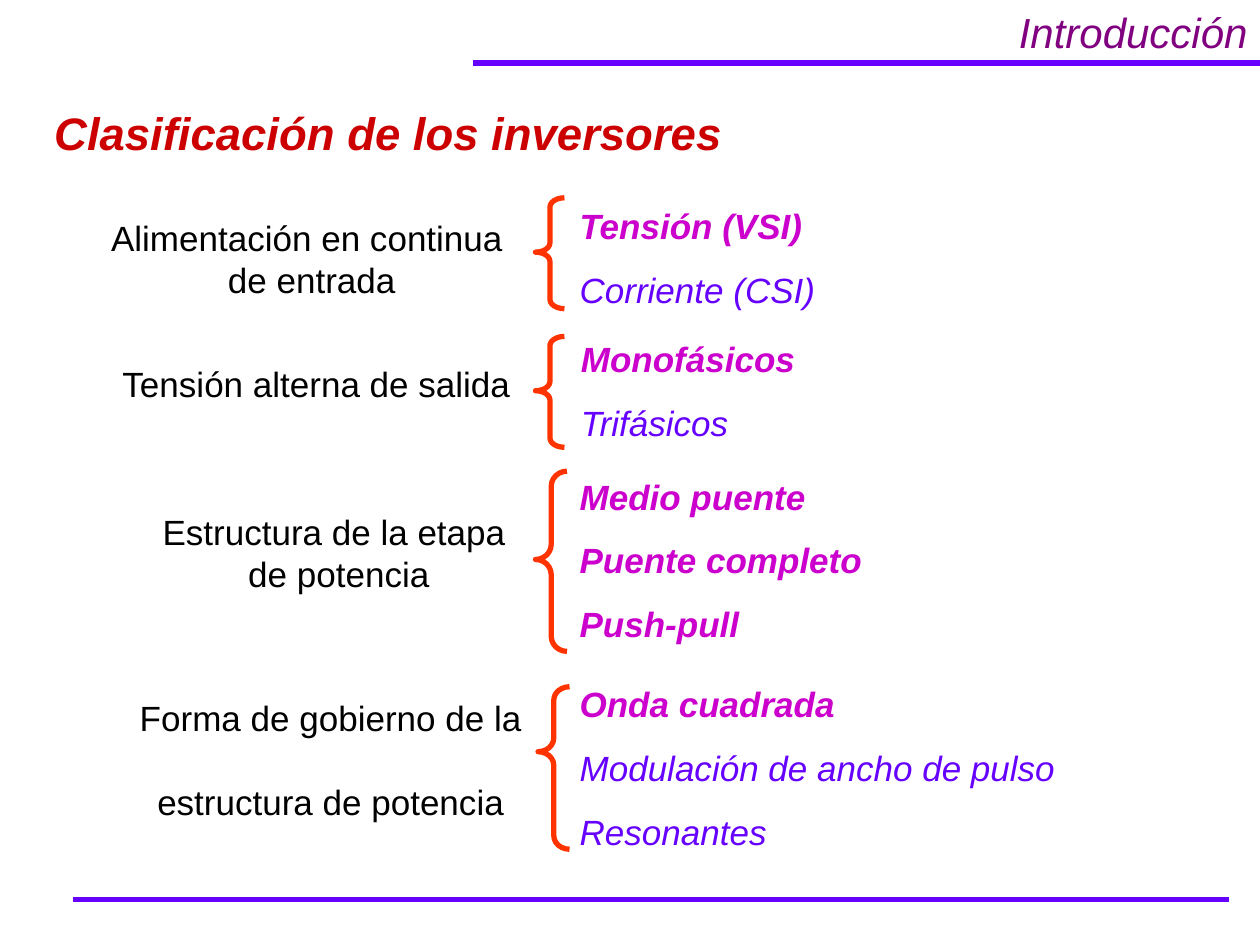
"""Builds the slide that classifies inverters with four braced lists."""
import lxml.etree
import pptx
import pptx.dml.color
import pptx.enum.shapes
import pptx.enum.text
import pptx.oxml.ns
import pptx.util

Inches, Pt = pptx.util.Inches, pptx.util.Pt
Align = pptx.enum.text.PP_ALIGN
Shape = pptx.enum.shapes.MSO_SHAPE

COLORS = {"rule": "6600FF", "section": "800080", "heading": "CC0000", "label": "000000",
          "brace": "FF3300", "covered": "CC00CC", "other": "6600FF"}
SECTION = ("Introducción", (5.58, 0, 4.42, 0.5))
HEADING = ("Clasificación de los inversores", (0.33, 0.78, 7.83, 0.54))
RULES = [(3.75, 10, 0.5), (0.58, 9.75, 7.14)]
CRITERIA = [
    {"label": ["Alimentación en continua ", "de entrada"], "align": Align.CENTER,
     "label_box": (0.75, 1.67, 3.45, 0.77),
     "brace_box": (4.25, 1.57, 0.23, 0.88), "bend": (0.32, 0.49),
     "options": [("Tensión (VSI)", "covered"), ("Corriente (CSI)", "other")],
     "options_box": (4.5, 1.57, 5.03, 0.94)},
    {"label": ["Tensión alterna de salida"], "align": Align.RIGHT,
     "label_box": (0.75, 2.83, 3.4, 0.44),
     "brace_box": (4.25, 2.67, 0.23, 0.88), "bend": (0.32, 0.49),
     "options": [("Monofásicos", "covered"), ("Trifásicos", "other")],
     "options_box": (4.51, 2.63, 2.24, 0.94)},
    {"label": ["Estructura de la etapa ", "de potencia"], "align": Align.CENTER,
     "label_box": (1.17, 4, 3.04, 0.77),
     "brace_box": (4.25, 3.74, 0.25, 1.43), "bend": (0.48, 0.49),
     "options": [("Medio puente", "covered"), ("Puente completo", "covered"),
                 ("Push-pull", "covered")],
     "options_box": (4.5, 3.72, 4.28, 1.45)},
    {"label": ["Forma de gobierno de la ", "estructura de potencia"], "align": Align.CENTER,
     "label_box": (1, 5.48, 3.25, 1.1),
     "brace_box": (4.27, 5.45, 0.25, 1.29), "bend": (0.43, 0.4),
     "options": [("Onda cuadrada", "covered"), ("Modulación de ancho de pulso", "other"),
                 ("Resonantes", "other")],
     "options_box": (4.5, 5.37, 4.05, 1.45)},
]


def rgb(role):
    return pptx.dml.color.RGBColor.from_string(COLORS[role])


def stroke(line, role):
    line.color.rgb = rgb(role)
    line.width = Pt(3)


def place(holder, box):
    holder.left, holder.top, holder.width, holder.height = map(Inches, box)


def write(holder, paragraphs, size, align=Align.LEFT, bold=False, italic=False):
    """Fills a text holder with (lines, color role) paragraphs."""
    frame = holder.text_frame
    frame.word_wrap = True
    frame.auto_size = pptx.enum.text.MSO_AUTO_SIZE.NONE
    frame.vertical_anchor = pptx.enum.text.MSO_ANCHOR.TOP
    for number, (lines, role) in enumerate(paragraphs):
        paragraph = frame.add_paragraph() if number else frame.paragraphs[0]
        paragraph.alignment = align
        paragraph.space_before = Pt(size * 0.625)
        paragraph.line_spacing = Pt(size * 1.2)
        properties = paragraph._p.get_or_add_pPr()
        properties.set("marL", "0")
        properties.set("indent", "0")
        lxml.etree.SubElement(properties, pptx.oxml.ns.qn("a:buNone"))
        for index, line in enumerate(lines):
            if index:
                paragraph.add_line_break()
            run = paragraph.add_run()
            run.text = line
            run.font.name = "Arial"
            run.font.size = Pt(size)
            run.font.bold = bold or role == "covered"
            run.font.italic = italic
            run.font.color.rgb = rgb(role)


def add_rule(slide, start, end, height):
    rule = slide.shapes.add_connector(
        pptx.enum.shapes.MSO_CONNECTOR.STRAIGHT,
        Inches(start), Inches(height), Inches(end), Inches(height))
    stroke(rule.line, "rule")
    lxml.etree.SubElement(rule._element.spPr, pptx.oxml.ns.qn("a:effectLst"))


def add_criterion(slide, criterion, options):
    label = slide.shapes.add_textbox(*map(Inches, criterion["label_box"]))
    write(label, [(criterion["label"], "label")], 20, criterion["align"])

    brace = slide.shapes.add_shape(Shape.LEFT_BRACE, *map(Inches, criterion["brace_box"]))
    brace.shadow.inherit = False
    brace.fill.background()
    stroke(brace.line, "brace")
    for index, share in enumerate(criterion["bend"]):
        brace.adjustments[index] = share

    place(options, criterion["options_box"])
    write(options, [([text], role) for text, role in criterion["options"]], 20, italic=True)


def main():
    deck = pptx.Presentation()
    deck.slide_width, deck.slide_height = Inches(10), Inches(7.5)
    slide = deck.slides.add_slide(deck.slide_layouts.get_by_name("Comparison"))

    for rule in RULES:
        add_rule(slide, *rule)

    section, section_box = SECTION
    write(slide.shapes.add_textbox(*map(Inches, section_box)),
          [([section], "section")], 24, Align.RIGHT, italic=True)

    heading, heading_box = HEADING
    place(slide.shapes.title, heading_box)
    write(slide.shapes.title, [([heading], "heading")], 26, bold=True, italic=True)

    for number, criterion in enumerate(CRITERIA, start=1):
        add_criterion(slide, criterion, slide.placeholders[number])

    deck.save("out.pptx")


if __name__ == "__main__":
    main()
